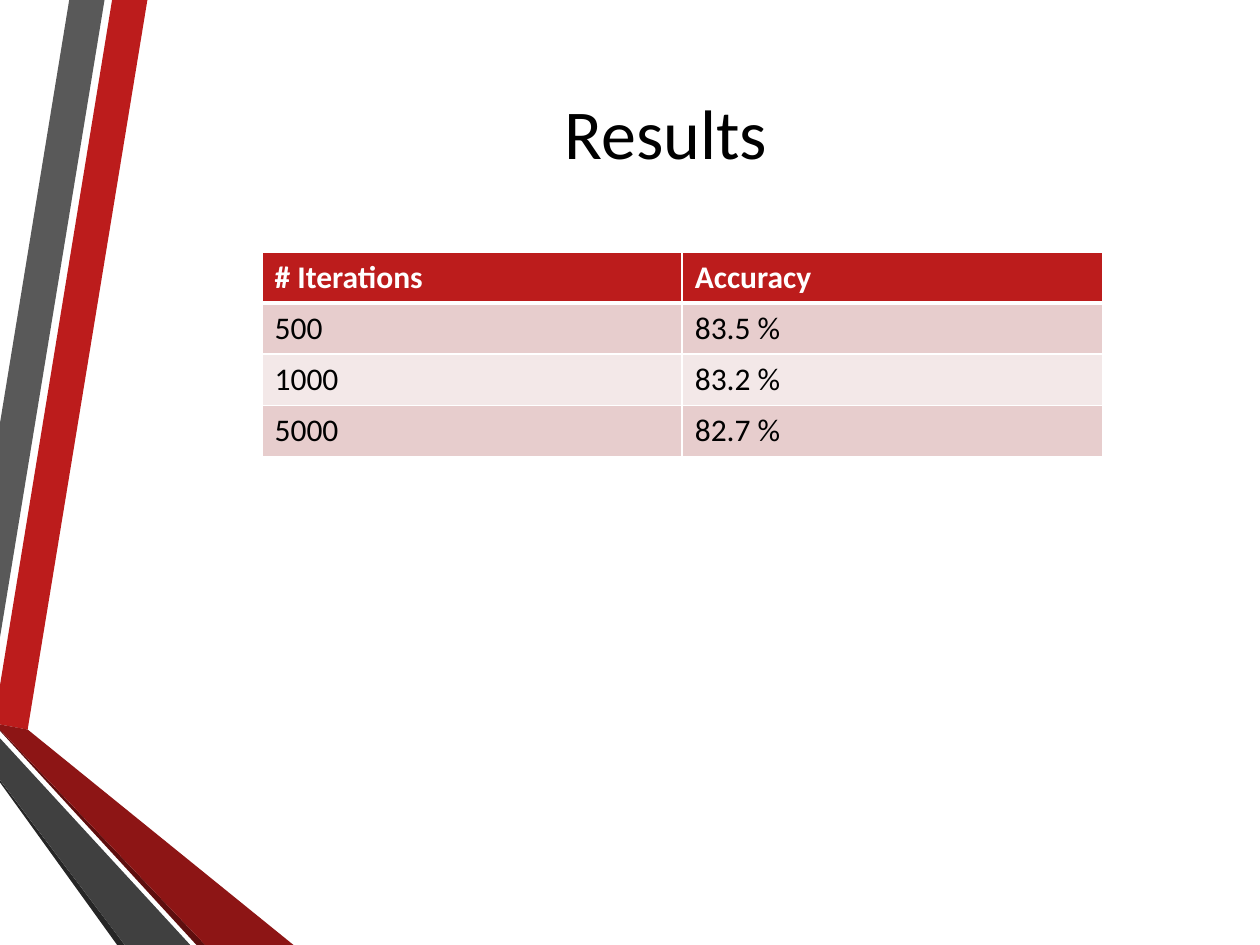
from pptx import Presentation
from pptx.dml.color import RGBColor as RGB
from pptx.enum.text import MSO_ANCHOR as Anchor, PP_ALIGN as Align
from pptx.oxml import parse_xml
from pptx.oxml.ns import nsdecls
from pptx.util import Inches, Pt

RED = RGB(0xBC, 0x1C, 0x1C)
MAROON = RGB(0x8D, 0x15, 0x15)
WINE = RGB(0x5E, 0x0E, 0x0E)
GREY = RGB(0x59, 0x59, 0x59)
SLATE = RGB(0x40, 0x40, 0x40)
COAL = RGB(0x26, 0x26, 0x26)
ROSE = RGB(0xE7, 0xCD, 0xCD)
BLUSH = RGB(0xF3, 0xE8, 0xE8)
WHITE = RGB(0xFF, 0xFF, 0xFF)
BLACK = RGB(0, 0, 0)

BANDS = [
    (RED, [(0, 5.44), (0, 5.75), (0.22, 5.79), (1.17, 0), (0.89, 0)]),
    (GREY, [(0.83, 0), (0.55, 0), (0, 3.36), (0, 5.06)]),
    (COAL, [(0, 6.19), (0, 6.21), (0.93, 7.5), (0.99, 7.5)]),
    (WINE, [(0, 5.79), (0, 5.8), (1.56, 7.5), (1.63, 7.5)]),
    (MAROON, [(0, 5.79), (1.63, 7.5), (2.33, 7.5), (0.22, 5.79), (0, 5.75)]),
    (SLATE, [(0, 6.19), (0.99, 7.5), (1.51, 7.5), (0, 5.86)]),
]
ROWS = [
    ("# Iterations", "Accuracy"),
    ("500", "83.5 %"),
    ("1000", "83.2 %"),
    ("5000", "82.7 %"),
]


def write(frame, text, size=18, color=BLACK, bold=False, align=Align.LEFT):
    """Put one formatted line of text in a frame."""
    para = frame.paragraphs[0]
    para.alignment = align
    run = para.add_run()
    run.text = text
    font = run.font
    font.name, font.size, font.bold = "Calibri", Pt(size), bold
    font.color.rgb = color


def edge(cell, **sides):
    """Draw white cell borders, given as side and width in points."""
    props = cell._tc.get_or_add_tcPr()
    for spot, (side, width) in enumerate(sides.items()):
        props.insert(spot, parse_xml(
            f'<a:ln{side} {nsdecls("a")} w="{Pt(width)}"><a:solidFill>'
            f'<a:srgbClr val="{WHITE}"/></a:solidFill></a:ln{side}>'))


class Deck:
    """Hold the style and the current slide."""

    def __init__(self):
        self.prs = Presentation()
        self.prs.slide_width, self.prs.slide_height = Inches(10), Inches(7.5)
        self.slide = self.prs.slides.add_slide(self.prs.slide_layouts[5])

    def band(self, color, points):
        """Add a filled outline."""
        first, *rest = [(Inches(x), Inches(y)) for x, y in points]
        pen = self.slide.shapes.build_freeform(*first)
        pen.add_line_segments(rest, close=True)
        shape = pen.convert_to_shape()
        shape.shadow.inherit = False
        shape.fill.solid()
        shape.fill.fore_color.rgb = color
        shape.line.fill.background()

    def title(self, text, left, top, width, height):
        """Place and fill the title."""
        box = self.slide.shapes.title
        box.left, box.top = Inches(left), Inches(top)
        box.width, box.height = Inches(width), Inches(height)
        box.text_frame.vertical_anchor = Anchor.MIDDLE
        write(box.text_frame, text, size=40, align=Align.CENTER)

    def table(self, rows, left, top, width, height):
        """Add a table with a header and banded rows."""
        grid = self.slide.shapes.add_table(
            len(rows), len(rows[0]), Inches(left), Inches(top),
            Inches(width), Inches(height)).table
        for r, row in enumerate(rows):
            head = r == 0
            fill = RED if head else ROSE if r % 2 else BLUSH
            for c, text in enumerate(row):
                cell = grid.cell(r, c)
                cell.fill.solid()
                cell.fill.fore_color.rgb = fill
                edge(cell, L=1, R=1, T=3 if r == 1 else 1, B=3 if head else 1)
                write(cell.text_frame, text, bold=head,
                      color=WHITE if head else BLACK)


def main():
    """Build the results slide."""
    deck = Deck()
    for color, points in BANDS:
        deck.band(color, points)
    deck.title("Results", 1.07, 0.5, 8.43, 1.08)
    deck.table(ROWS, 2.08, 2, 6.67, 1.62)
    deck.prs.save("out.pptx")


if __name__ == "__main__":
    main()
